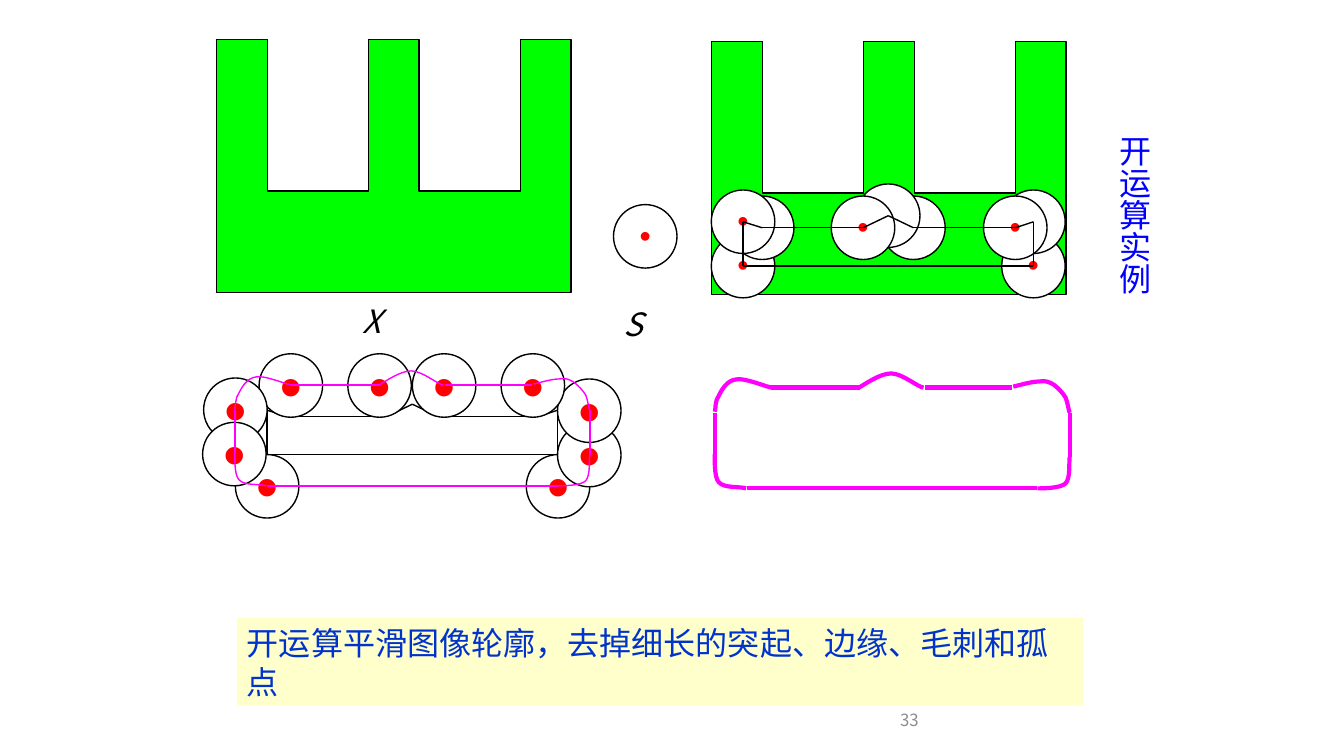
from lxml.etree import SubElement
from pptx import Presentation
from pptx.dml.color import RGBColor
from pptx.enum.shapes import MSO_CONNECTOR, MSO_SHAPE
from pptx.enum.text import MSO_ANCHOR, MSO_AUTO_SIZE, PP_ALIGN
from pptx.oxml.ns import qn
from pptx.util import Inches, Pt

# Content
TITLE = "开运算实例"
CAPTION = "开运算平滑图像轮廓，去掉细长的突起、边缘、毛刺和孤点"
PAGE = "33"
COLORS = {"set": "00FF00", "outline": "000000", "disc": "FFFFFF", "dot": "FF0000",
          "contour": "FF00FF", "panel": "FFFFCC", "caption": "0033CC",
          "title": "0000FF", "page": "8C8C8C"}
CJK, LATIN = "Noto Sans CJK SC", "Arial"
TEXT_SIZE = 22.9

# Comb-shaped set X, in grid units measured from its top left corner
UNIT = 0.502
COMB = [(0, 5), (7, 5), (7, 0), (6, 0), (6, 3), (4, 3),
        (4, 0), (3, 0), (3, 3), (1, 3), (1, 0), (0, 0)]
COMB_CORNERS = [(2.15, 0.39), (7.06, 0.41)]

# Structuring element S, and the eroded outline measured from its lower left corner
DISC = 0.63
ELEMENT_CENTER = (6.4, 2.345)
ERODED = [(0, 0), (2.88, 0), (2.88, -0.44), (2.7, -0.38), (1.69, -0.38),
          (1.44, -0.5), (1.19, -0.38), (0.19, -0.38), (0, -0.44)]
ERODED_CORNERS = [(7.37, 2.64), (2.65, 4.51)]
# Corners that carry a disc, then the edges drawn above those discs
EROSION_STEPS = [((0, 1, 4, 5, 6), (0,)), ((2, 3), range(1, 6)), ((7, 8), range(6, 9))]

# Opened contour: two points make a line, 3n + 1 points make Bezier curves
CONTOUR = [
    [(5.53, 4.82), (5.58, 4.82), (5.76, 4.82), (5.81, 4.77), (5.86, 4.71), (5.84, 4.56), (5.85, 4.51)],
    [(5.85, 4.51), (5.85, 4.07)],
    [(5.85, 4.07), (5.84, 4.05), (5.83, 3.97), (5.81, 3.92), (5.78, 3.87), (5.73, 3.82), (5.69, 3.79),
     (5.64, 3.76), (5.61, 3.75), (5.54, 3.76), (5.47, 3.76), (5.34, 3.8), (5.29, 3.81)],
    [(5.28, 3.82), (4.41, 3.82)],
    [(4.4, 3.82), (4.35, 3.82), (4.19, 3.68), (4.08, 3.68), (3.97, 3.68), (3.83, 3.78), (3.76, 3.82)],
    [(3.77, 3.82), (2.89, 3.82)],
    [(2.89, 3.82), (2.83, 3.81), (2.62, 3.72), (2.54, 3.74), (2.45, 3.75), (2.4, 3.84), (2.37, 3.9),
     (2.33, 3.95), (2.34, 4.03), (2.33, 4.06)],
    [(2.33, 4.07), (2.33, 4.49)],
    [(2.33, 4.48), (2.33, 4.52), (2.32, 4.71), (2.37, 4.76), (2.42, 4.82), (2.58, 4.8), (2.64, 4.82)],
    [(2.65, 4.82), (5.53, 4.82)],
]
RESULT_SHIFT = (4.76, 0.025)
# Dilation disc centers: two at the base, then one below each contour piece
BASE_DISCS = [(2.65, 4.825), (5.535, 4.825)]
RIM_DISCS = [(5.845, 4.515), (5.845, 4.075), (5.285, 3.825), (4.405, 3.825),
             (3.765, 3.825), (2.885, 3.825), (2.335, 4.065), (2.325, 4.505)]

prs = Presentation()
prs.slide_width, prs.slide_height = Inches(13.33), Inches(7.5)
slide = prs.slides.add_slide(prs.slide_layouts[5])
shapes = slide.shapes


def color(name):
    return RGBColor.from_string(COLORS[name])


def shifted(points, offset):
    return [(x + offset[0], y + offset[1]) for x, y in points]


def write(frame, text, size, ink, font=CJK, italic=False, spacing=None):
    paragraph = frame.paragraphs[0]
    paragraph.line_spacing = spacing
    run = paragraph.add_run()
    run.text = text
    run.font.name, run.font.size, run.font.italic = font, Pt(size), italic
    run.font.color.rgb = color(ink)
    SubElement(run.font._element, qn("a:ea")).set("typeface", font)
    return paragraph


def outline(shape, ink, width=1):
    shape.line.color.rgb = color(ink)
    shape.line.width = Pt(width)


def line(start, end, ink="outline", width=1):
    edge = shapes.add_connector(MSO_CONNECTOR.STRAIGHT, *map(Inches, start + end))
    outline(edge, ink, width)
    SubElement(edge._element.spPr, qn("a:effectLst"))


def freeform(points, ink, width=1, fill=None):
    points = [(Inches(x), Inches(y)) for x, y in points]
    builder = shapes.build_freeform(*points[0])
    builder.add_line_segments(points[1:], close=fill is not None)
    form = builder.convert_to_shape()
    form.shadow.inherit = False
    outline(form, ink, width)
    if fill:
        form.fill.solid()
        form.fill.fore_color.rgb = color(fill)
    else:
        form.fill.background()
    return form


def curve(points, width):
    # Every three straight segments become one cubic segment
    form = freeform(points, "contour", width)
    segments = list(form._element.iter(qn("a:lnTo")))
    outline_path = segments[0].getparent()
    for i in range(0, len(segments), 3):
        cubic = SubElement(outline_path, qn("a:cubicBezTo"))
        for segment in segments[i:i + 3]:
            cubic.append(segment[0])
            outline_path.remove(segment)


def contour_piece(points, width):
    if len(points) == 2:
        line(*points, "contour", width)
    else:
        curve(points, width)


def disc(center, dot=23):
    x, y = center
    circle = shapes.add_shape(MSO_SHAPE.OVAL, Inches(x - DISC / 2), Inches(y - DISC / 2),
                              Inches(DISC), Inches(DISC))
    circle.shadow.inherit = False
    circle.fill.solid()
    circle.fill.fore_color.rgb = color("disc")
    outline(circle, "outline")
    frame = circle.text_frame
    frame.margin_left = frame.margin_right = frame.margin_top = 0
    frame.margin_bottom = Inches(0.04)
    frame.word_wrap = False
    frame.vertical_anchor = MSO_ANCHOR.MIDDLE
    write(frame, "•", dot, "dot", LATIN).alignment = PP_ALIGN.CENTER


def label(text, box, size, ink, anchor=MSO_ANCHOR.TOP, **style):
    frame = shapes.add_textbox(*map(Inches, box)).text_frame
    frame.word_wrap = True
    frame.vertical_anchor = anchor
    write(frame, text, size, ink, **style)


# Set X, element S and the erosion panel
corner_x, corner_erosion = COMB_CORNERS
comb = [(x * UNIT, y * UNIT) for x, y in COMB]
freeform(shifted(comb, corner_x), "outline", fill="set")
disc(ELEMENT_CENTER)
freeform(shifted(comb, corner_erosion), "outline", fill="set")
eroded, dilated_base = [shifted(ERODED, corner) for corner in ERODED_CORNERS]
edges, base_edges = [list(zip(ring, ring[1:] + ring[:1])) for ring in (eroded, dilated_base)]
for corners, drawn in EROSION_STEPS:
    for i in corners:
        disc(eroded[i])
    for i in drawn:
        line(*edges[i])

# Dilation panel
disc(BASE_DISCS[0], 45.9)
for start, end in base_edges:
    line(start, end)
disc(BASE_DISCS[1], 45.9)
for i, piece in enumerate(CONTOUR):
    if i < len(RIM_DISCS):
        disc(RIM_DISCS[i], 45.9)
    contour_piece(piece, 1)

# Opened result
for piece in CONTOUR:
    contour_piece(shifted(piece, RESULT_SHIFT), 3)

# Labels and page number
for name, box in [("X", (3.5, 2.93, 0.47, 0.49)), ("S", (6.09, 2.96, 0.4, 0.49))]:
    label(name, box, TEXT_SIZE, "outline", italic=True, spacing=Pt(28))
label(PAGE, (8.83, 6.98, 2.33, 0.32), 12, "page", MSO_ANCHOR.MIDDLE)

# Caption
panel = shapes.add_shape(MSO_SHAPE.RECTANGLE, *map(Inches, (2.35, 6.13, 8.39, 0.87)))
panel.shadow.inherit = False
panel.fill.solid()
panel.fill.fore_color.rgb = color("panel")
panel.line.fill.background()
panel.text_frame.word_wrap = True
panel.text_frame.vertical_anchor = MSO_ANCHOR.TOP
write(panel.text_frame, CAPTION, TEXT_SIZE, "caption", spacing=Pt(28)).alignment = PP_ALIGN.LEFT

# Vertical title
title = shapes.title
title.left, title.top, title.width, title.height = map(Inches, (10.96, 1.29, 0.59, 4.61))
title.text_frame.auto_size = MSO_AUTO_SIZE.NONE
title.text_frame.vertical_anchor = MSO_ANCHOR.TOP
title.text_frame._txBody.bodyPr.set("vert", "eaVert")
write(title.text_frame, TITLE, TEXT_SIZE, "title", spacing=Pt(28)).alignment = PP_ALIGN.LEFT

prs.save("out.pptx")
